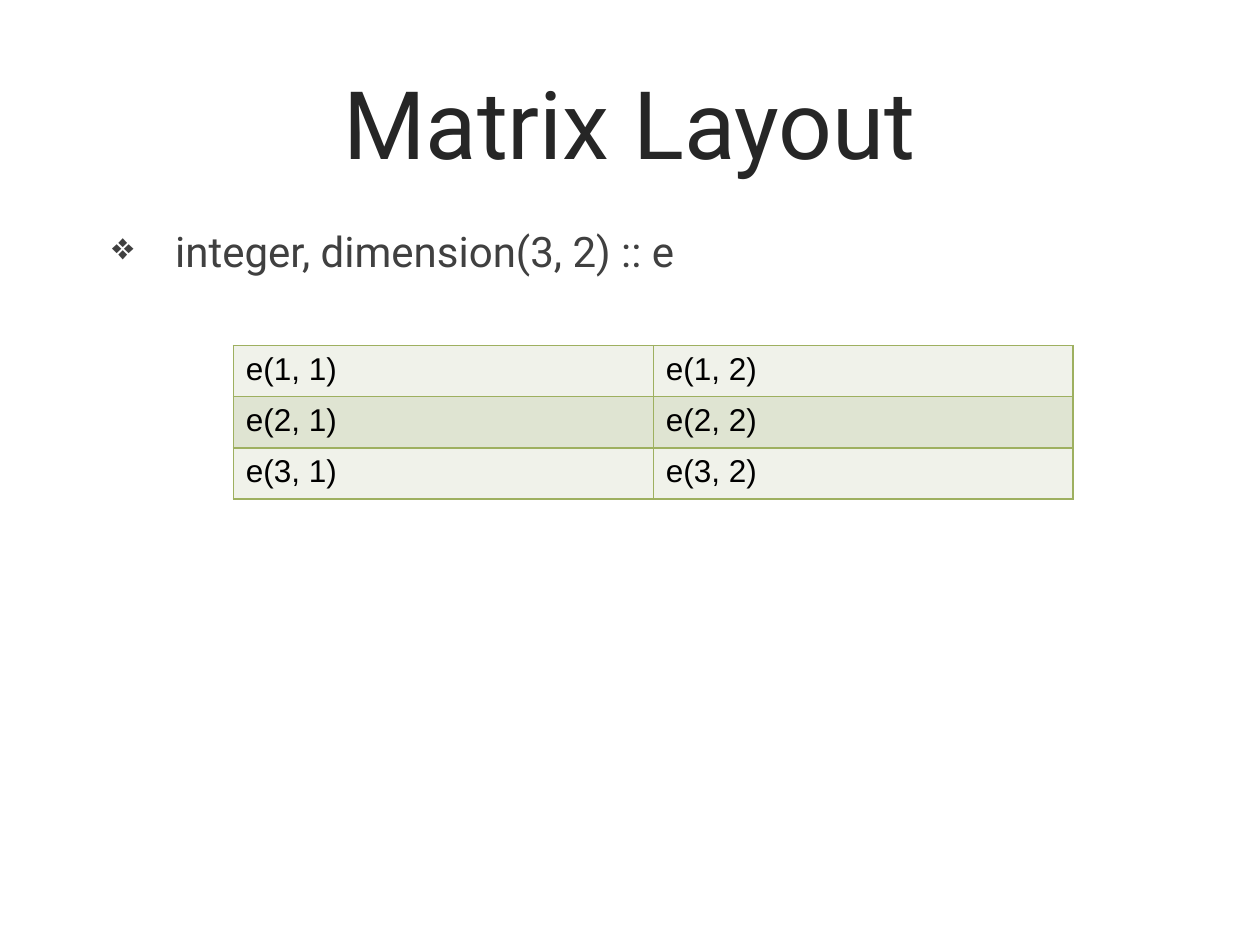
from lxml.etree import SubElement
from pptx import Presentation
from pptx.dml.color import RGBColor
from pptx.enum.text import MSO_ANCHOR, PP_ALIGN
from pptx.oxml.ns import qn
from pptx.util import Pt


def color(value):
    return RGBColor.from_string(value)


def style_font(font, name, size, value):
    font.name = name
    font.size = Pt(size)
    font.color.rgb = color(value)


def add_text(slide, text, left, top, width, height, size, value):
    shape = slide.shapes.add_textbox(Pt(left), Pt(top), Pt(width), Pt(height))
    frame = shape.text_frame
    frame.word_wrap = True
    paragraph = frame.paragraphs[0]
    paragraph.text = text
    style_font(paragraph.font, "Roboto", size, value)
    return shape


def add_bullet(paragraph, character, percent, indent):
    properties = paragraph._p.get_or_add_pPr()
    properties.set("marL", str(Pt(indent)))
    properties.set("indent", str(-Pt(indent)))
    bullet_size = SubElement(properties, qn("a:buSzPct"), val=str(percent * 1000))
    bullet = SubElement(properties, qn("a:buChar"), char=character)
    default_run = properties.find(qn("a:defRPr"))
    if default_run is not None:
        default_run.addprevious(bullet_size)
        default_run.addprevious(bullet)


def add_borders(cell, value, width):
    properties = cell._tc.get_or_add_tcPr()
    for position, side in enumerate(("L", "R", "T", "B")):
        line = SubElement(properties, qn(f"a:ln{side}"), w=str(Pt(width)))
        fill = SubElement(line, qn("a:solidFill"))
        SubElement(fill, qn("a:srgbClr"), val=value)
        properties.insert(position, line)


def add_matrix(slide, rows, columns, left, top, width, row_height):
    frame = slide.shapes.add_table(
        rows, columns, Pt(left), Pt(top), Pt(width), Pt(rows * row_height)
    )
    table = frame.table
    table.first_row = False
    for row in range(rows):
        for column in range(columns):
            cell = table.cell(row, column)
            cell.text = f"e({row + 1}, {column + 1})"
            style_font(cell.text_frame.paragraphs[0].font, "Arial", 18, "000000")
            cell.fill.solid()
            cell.fill.fore_color.rgb = color("DFE4D2" if row % 2 else "F0F2EA")
            add_borders(cell, "9EB060", 1)


def main():
    presentation = Presentation()
    presentation.slide_width = Pt(720)
    presentation.slide_height = Pt(540)
    slide = presentation.slides.add_slide(presentation.slide_layouts[6])

    title = add_text(slide, "Matrix Layout", 57, 24.5, 605.5, 90, 54, "262626")
    title.text_frame.vertical_anchor = MSO_ANCHOR.MIDDLE
    title.text_frame.paragraphs[0].alignment = PP_ALIGN.CENTER

    declaration = add_text(
        slide, "integer, dimension(3, 2) :: e", 57, 125.3, 605.5, 49, 24, "404040"
    )
    add_bullet(declaration.text_frame.paragraphs[0], "❖", 90, 36)

    add_matrix(slide, 3, 2, 133.3, 197.5, 480, 29.2)
    presentation.save("out.pptx")


main()
